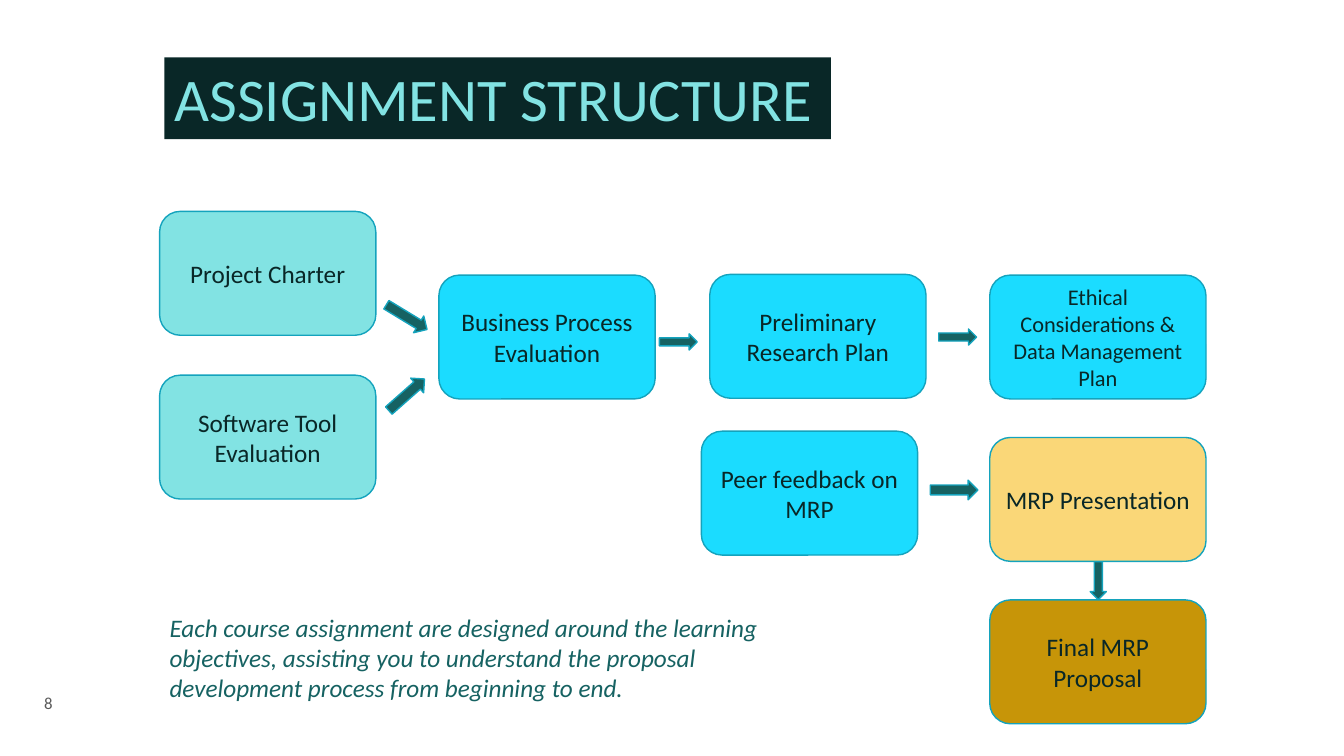
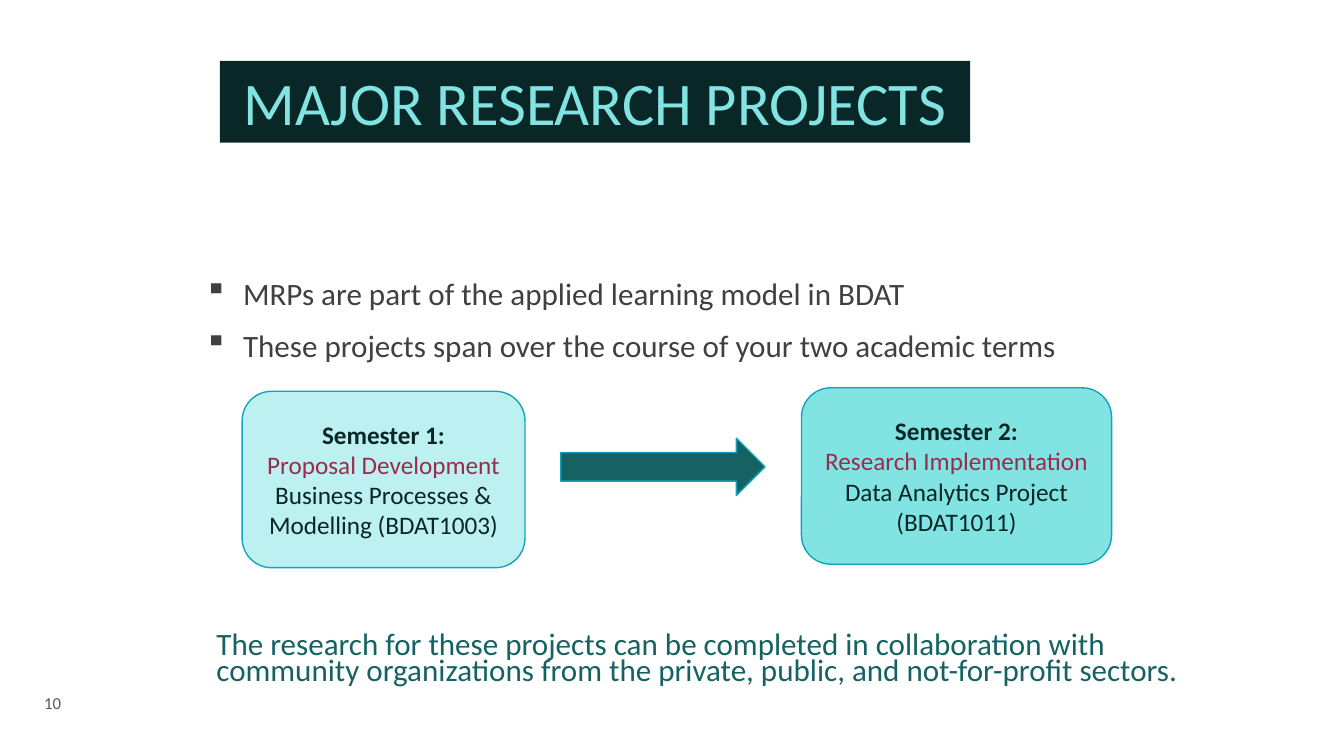
from dataclasses import dataclass

from lxml import etree
from pptx import Presentation
from pptx import util as u
from pptx.dml.color import RGBColor
from pptx.enum import shapes, text
from pptx.oxml import ns


@dataclass(frozen=True)
class Theme:
    font: str = "Calibri"
    # Colours
    ink: str = "092727"
    aqua: str = "82E3E3"
    pale_aqua: str = "BDF0F0"
    cyan: str = "1BDCFF"
    sand: str = "FAD778"
    gold: str = "C79508"
    teal: str = "166262"
    outline: str = "14A3BD"
    berry: str = "992D4C"
    body: str = "404040"
    number: str = "595959"
    # Type sizes
    title_size: float = 43.2
    lead_size: float = 22.2
    text_size: float = 18
    small_size: float = 16
    number_size: float = 12


THEME = Theme()
MIDDLE, BOTTOM, TOP = (text.MSO_ANCHOR.MIDDLE, text.MSO_ANCHOR.BOTTOM,
                       text.MSO_ANCHOR.TOP)
CENTER = text.PP_ALIGN.CENTER


class Deck:
    """Holds the style and the current slide."""

    def __init__(self, theme):
        self.theme = theme
        self.prs = Presentation()
        self.prs.slide_width, self.prs.slide_height = u.Pt(960), u.Pt(540)
        self.slide = None

    def new_slide(self, title, left, top, width, number, indent=7.2):
        """Start a slide with its title band and page number."""
        t = self.theme
        self.slide = self.prs.slides.add_slide(self.prs.slide_layouts[6])
        band = self.shape(shapes.MSO_SHAPE.RECTANGLE,
                          (left, top, width, 58.5), t.ink)
        self.set_text(band, [(title, t.aqua)], t.title_size, anchor=BOTTOM,
                      left_inset=indent, line_spacing=0.85)
        self.text_box((24.5, 494, 57, 16), [(str(number), t.number)],
                      t.number_size, anchor=MIDDLE)

    def shape(self, kind, box, fill, line=None, rotation=0):
        shape = self.slide.shapes.add_shape(kind, *map(u.Pt, box))
        shape.shadow.inherit = False
        shape.rotation = rotation
        shape.fill.solid()
        shape.fill.fore_color.rgb = RGBColor.from_string(fill)
        if line:
            shape.line.color.rgb = RGBColor.from_string(line)
            shape.line.width = u.Pt(1)
        else:
            shape.line.fill.background()
        return shape

    def set_text(self, shape, lines, size, anchor=TOP, left_inset=7.2,
                 right_inset=7.2, bullet_indent=0, italic=False,
                 **paragraph_format):
        """Fill a shape with lines given as (text, colour[, bold])."""
        frame = shape.text_frame
        frame_format = {"word_wrap": True, "vertical_anchor": anchor,
                        "margin_left": u.Pt(left_inset),
                        "margin_right": u.Pt(right_inset)}
        for name, value in frame_format.items():
            setattr(frame, name, value)
        paragraph_format = {"alignment": text.PP_ALIGN.LEFT, **paragraph_format}
        for index, (words, color, *bold) in enumerate(lines):
            paragraph = frame.add_paragraph() if index else frame.paragraphs[0]
            if bullet_indent:
                self.bullet(paragraph, bullet_indent)
            for name, value in paragraph_format.items():
                if index or name != "space_before":
                    setattr(paragraph, name, value)
            run = paragraph.add_run()
            run.text = words
            font_format = {"name": self.theme.font, "size": u.Pt(size),
                           "bold": bool(bold), "italic": italic}
            for name, value in font_format.items():
                setattr(run.font, name, value)
            run.font.color.rgb = RGBColor.from_string(color)

    def bullet(self, paragraph, indent):
        props = paragraph._p.get_or_add_pPr()
        props.set("marL", str(u.Pt(indent)))
        props.set("indent", str(-u.Pt(indent)))
        etree.SubElement(props, ns.qn("a:buChar")).set("char", "▪")

    def text_box(self, box, lines, size, **options):
        holder = self.slide.shapes.add_textbox(*map(u.Pt, box))
        self.set_text(holder, lines, size, **options)

    def card(self, box, fill, lines, size=None):
        card = self.shape(shapes.MSO_SHAPE.ROUNDED_RECTANGLE, box, fill,
                          self.theme.outline)
        self.set_text(card, lines, size or self.theme.text_size, anchor=MIDDLE,
                      left_inset=6, right_inset=6, alignment=CENTER)

    def arrow(self, box, rotation=0):
        self.shape(shapes.MSO_SHAPE.RIGHT_ARROW, box, self.theme.teal,
                   self.theme.outline, rotation)


def assignment_structure(deck):
    t = deck.theme
    deck.new_slide("ASSIGNMENT STRUCTURE", 117.5, 41, 476, 8)

    # Assignments, from first work to final proposal
    assignments = [
        ("Project Charter", 114, 151, t.aqua, t.text_size),
        ("Software Tool Evaluation", 114, 268, t.aqua, t.text_size),
        ("Business Process Evaluation", 313.5, 196.5, t.cyan, t.text_size),
        ("Preliminary Research Plan", 507, 196, t.cyan, t.text_size),
        ("Peer feedback on MRP", 501, 308, t.cyan, t.text_size),
        ("Ethical Considerations & Data Management Plan", 707, 196.5, t.cyan,
         t.small_size),
        ("MRP Presentation", 707, 312.5, t.sand, t.text_size),
        ("Final MRP Proposal", 707, 428.5, t.gold, t.text_size),
    ]
    for name, left, top, fill, size in assignments:
        deck.card((left, top, 154.5, 88.5), fill, [(name, t.ink)], size)

    # Arrows between assignments
    long_arrow, short_arrow = (34, 14), (27, 11.5)
    steps = [
        (273.5, 219.5, long_arrow, 31.3),
        (273.5, 275, long_arrow, 318.5),
        (471, 238.5, short_arrow, 0),
        (670.5, 235, short_arrow, 0),
        (664.5, 343, long_arrow, 0),
        (771, 409, short_arrow, 90),
    ]
    for left, top, size, rotation in steps:
        deck.arrow((left, top, *size), rotation)

    # Closing remark
    deck.text_box((114, 433.5, 480, 73), [(
        "Each course assignment are designed around the learning objectives, "
        "assisting you to understand the proposal development process from "
        "beginning to end.", t.teal)], t.text_size, italic=True)


def major_research_projects(deck):
    t = deck.theme
    deck.new_slide("MAJOR RESEARCH PROJECTS", 157, 43.5, 536, 10, indent=17)

    # Key points
    deck.text_box((139, 200, 738, 64), [
        ("MRPs are part of the applied learning model in BDAT", t.body),
        ("These projects span over the course of your two academic terms",
         t.body)], t.lead_size, bullet_indent=27.5, line_spacing=0.7,
        space_before=u.Pt(18))

    # Semesters
    semesters = [
        ((173, 279.5, 202, 126), t.pale_aqua, "Semester 1:",
         "Proposal Development", "Business Processes & Modelling (BDAT1003)"),
        ((572.5, 277, 221.5, 126), t.aqua, "Semester 2:",
         "Research Implementation", "Data Analytics Project (BDAT1011)"),
    ]
    for box, fill, semester, stage, course in semesters:
        deck.card(box, fill, [(semester, t.ink, True), (stage, t.berry),
                              (course, t.ink)])
    deck.arrow((400.5, 313, 146, 41))

    # Collaboration note
    deck.text_box((147.5, 450, 729.5, 46), [(
        "The research for these projects can be completed in collaboration "
        "with community organizations from the private, public, and "
        "not-for-profit sectors.", t.teal)], t.lead_size, line_spacing=0.7)


def main():
    deck = Deck(THEME)
    assignment_structure(deck)
    major_research_projects(deck)
    deck.prs.save("out.pptx")


if __name__ == "__main__":
    main()
